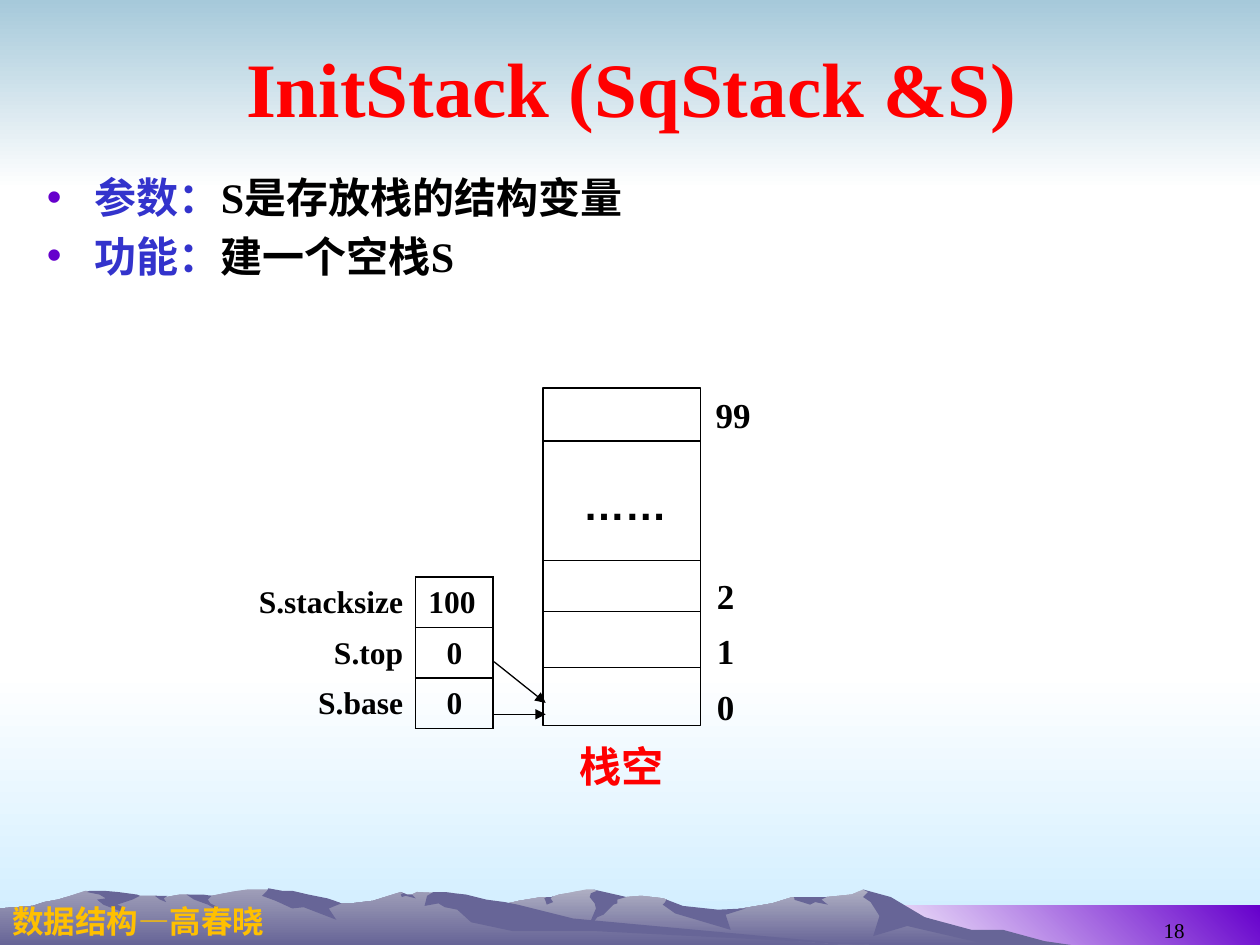
from lxml import etree
from pptx import Presentation, util as u
from pptx.dml.color import RGBColor
from pptx.enum import shapes, text
from pptx.oxml.ns import qn

BLACK, RED, BLUE, PURPLE, SLATE = "000000", "FF0000", "3333CC", "6600CC", "676597"
LEFT, CENTER, RIGHT = text.PP_ALIGN.LEFT, text.PP_ALIGN.CENTER, text.PP_ALIGN.RIGHT

# Mountain outlines as x,y points in hundredths of an inch
RIGHT_RIDGE = (
    "802,746 778,740 764,738 723,725 702,712 685,706 676,710 656,712 629,712 613,717 "
    "566,725 536,721 529,714 526,713 509,711 497,712 486,713 474,707 471,706 465,706 "
    "450,709 444,710 438,712 430,712 424,713 412,715 399,718 394,719 355,725 327,731 "
    "277,745 258,750 815,750")
LEFT_RIDGE = (
    "690,750 667,750 432,732 354,709 331,708 327,710 323,710 318,708 296,715 279,717 "
    "271,717 260,715 236,717 223,708 219,707 212,706 196,706 189,707 178,709 168,711 "
    "160,712 148,710 143,710 132,712 123,711 111,711 94,712 68,707 56,711 46,714 "
    "35,716 26,719 14,720 0,721 0,750")
RIGHT_SHADES = [
    "796,738 771,738 734,728 707,712 685,706 689,708 685,712 691,716 698,727 693,743 "
    "720,735 785,750 850,750 829,747",
    "471,706 474,707 469,709 468,712 472,717 473,721 465,740 474,728 479,726 487,718 "
    "490,717 490,714 497,712 493,711",
    "529,714 528,716 526,718 536,725 580,738 576,726 592,721 570,722 542,719",
    "650,712 630,712 631,714 630,714 643,718 647,716 657,718 652,714 656,712",
    "433,715 432,713 434,712 438,712 439,711 437,713 439,716 434,718",
]
LEFT_SHADES = [
    "212,707 208,711 219,715 232,721 241,720 267,730 261,721 271,717 266,715 260,713 "
    "245,710 232,707 224,707 213,705",
    "370,710 361,709 354,708 344,708 339,711 337,719 348,717 353,720 363,722 374,732 "
    "407,739 472,739 690,750 683,750 455,729 427,722 411,718 401,716 386,714",
    "318,710 320,709 318,708 323,710 327,710 330,713 326,712 322,711 319,712",
    "154,710 161,710 168,711 165,714 167,717 173,720 176,724 165,718 154,714 148,710",
    "133,711 130,713 132,716 127,714 123,711",
    "109,710 111,711 105,714 93,718 98,720 100,725 82,718 77,714 84,713 79,710 69,708 "
    "71,707 83,707 94,708",
]


def rgb(value):
    return RGBColor.from_string(value)


def write(paragraph, words, size=24, color=BLACK, bold=True, font="Times New Roman",
          align=None):
    run = paragraph.add_run()
    run.text = words
    run.font.size, run.font.bold, run.font.name = u.Pt(size), bold, font
    run.font.color.rgb = rgb(color)
    if align is not None:
        paragraph.alignment = align


class Sketch:
    """Holds the current slide and the drawing style."""

    def __init__(self, slide, ink=BLACK, weight=0.75):
        self.slide, self.ink, self.weight = slide, ink, weight

    def place(self, holder, left, top, width, height):
        """Move a placeholder and bring it above the scenery."""
        holder.left, holder.top = u.Cm(left), u.Cm(top)
        holder.width, holder.height = u.Cm(width), u.Cm(height)
        self.slide.shapes._spTree.append(holder._element)
        holder.text_frame.auto_size = text.MSO_AUTO_SIZE.NONE
        return holder.text_frame

    def paint(self, shape, colors, angle=270):
        shape.shadow.inherit = False
        shape.line.fill.background()
        if len(colors) == 1:
            shape.fill.solid()
            shape.fill.fore_color.rgb = rgb(colors[0])
            return
        shape.fill.gradient()
        shape.fill.gradient_angle = angle
        for stop, color in zip(shape.fill.gradient_stops, colors):
            stop.color.rgb = rgb(color)

    def box(self, left, top, width, height):
        return self.slide.shapes.add_shape(
            shapes.MSO_SHAPE.RECTANGLE, u.Cm(left), u.Cm(top), u.Cm(width), u.Cm(height))

    def outlined(self, *place):
        cell = self.box(*place)
        cell.shadow.inherit = False
        cell.fill.background()
        cell.line.color.rgb, cell.line.width = rgb(self.ink), u.Pt(self.weight)

    def ridge(self, outline, *colors):
        points = [tuple(map(int, pair.split(","))) for pair in outline.split()]
        builder = self.slide.shapes.build_freeform(*points[0], scale=u.Cm(2.54) / 100)
        builder.add_line_segments(points[1:], close=True)
        self.paint(builder.convert_to_shape(), colors)

    def line(self, x1, y1, x2, y2, arrow=False):
        rule = self.slide.shapes.add_connector(
            shapes.MSO_CONNECTOR.STRAIGHT, u.Cm(x1), u.Cm(y1), u.Cm(x2), u.Cm(y2))
        rule.line.color.rgb, rule.line.width = rgb(self.ink), u.Pt(self.weight)
        if arrow:
            etree.SubElement(rule.line._get_or_add_ln(), qn("a:tailEnd"), type="triangle")
        etree.SubElement(rule._element.spPr, qn("a:effectLst"))

    def label(self, words, left, top, width, height, wrap=True,
              anchor=text.MSO_ANCHOR.TOP, **style):
        frame = self.slide.shapes.add_textbox(
            u.Cm(left), u.Cm(top), u.Cm(width), u.Cm(height)).text_frame
        frame.word_wrap, frame.vertical_anchor = wrap, anchor
        write(frame.paragraphs[0], words, **style)

    def fields(self, rows, left, top, widths, row_height):
        table = self.slide.shapes.add_table(
            len(rows), 2, u.Cm(left), u.Cm(top), u.Cm(sum(widths)),
            u.Cm(row_height * len(rows))).table
        table.first_row = table.horz_banding = False
        for column, width in zip(table.columns, widths):
            column.width = u.Cm(width)
        for r, (name, value, align) in enumerate(rows):
            table.rows[r].height = u.Cm(row_height)
            self.field(table.cell(r, 0), name, RIGHT, ["lnR"])
            self.field(table.cell(r, 1), value, align, ["lnL", "lnR", "lnT", "lnB"])

    def field(self, cell, words, align, ruled):
        cell.margin_top, cell.margin_bottom = u.Cm(0.17), u.Cm(0.08)
        for side in ("lnL", "lnR", "lnT", "lnB"):
            edge = etree.SubElement(cell._tc.get_or_add_tcPr(), qn("a:" + side),
                                    w=str(u.Pt(1)))
            if side in ruled:
                fill = etree.SubElement(edge, qn("a:solidFill"))
                etree.SubElement(fill, qn("a:srgbClr"), val=self.ink)
            else:
                etree.SubElement(edge, qn("a:noFill"))
        cell.fill.background()
        write(cell.text_frame.paragraphs[0], words, size=18, align=align)

    def bullet(self, paragraph, term, meaning, space):
        props = paragraph._p.get_or_add_pPr()
        props.set("marL", str(u.Cm(0.97)))
        props.set("indent", str(-u.Cm(0.97)))
        color = etree.SubElement(props, qn("a:buClr"))
        etree.SubElement(color, qn("a:srgbClr"), val=PURPLE)
        etree.SubElement(props, qn("a:buChar"), char="•")
        paragraph.space_before = u.Pt(space)
        write(paragraph, term, color=BLUE)
        write(paragraph, meaning)


def main():
    deck = Presentation()
    deck.slide_width, deck.slide_height = u.Cm(25.4), u.Cm(19.05)
    slide = deck.slides.add_slide(deck.slide_layouts[1])
    sketch = Sketch(slide)

    # Sky, ground and mountains
    sketch.paint(sketch.box(0, 13.54, 25.4, 5.51), ["FFFFFF", "CCECFF"])
    sketch.paint(sketch.box(0, 0, 25.4, 3.81), ["A6C9DA", "FFFFFF"])
    sketch.paint(sketch.box(17.35, 18.26, 8.05, 0.79), ["FFFFFF", PURPLE], angle=45)
    for ridge, light, shades in ((RIGHT_RIDGE, "AEAEC2", RIGHT_SHADES),
                                 (LEFT_RIDGE, "9F9EB8", LEFT_SHADES)):
        sketch.ridge(ridge, light, SLATE)
        for shade in shades:
            sketch.ridge(shade, SLATE)

    # Footer
    sketch.label("数据结构—高春晓", 0, 18.06, 7.75, 1.02, size=18, color="FFC000",
                 font="Arial")
    sketch.label("18", 18.21, 17.86, 5.92, 1.27, anchor=text.MSO_ANCHOR.BOTTOM,
                 size=12, bold=False, align=RIGHT)

    # Title and description
    title = sketch.place(slide.shapes.title, 1.3, 0.33, 22.86, 2.84)
    title.vertical_anchor = text.MSO_ANCHOR.MIDDLE
    write(title.paragraphs[0], "InitStack (SqStack &S)", size=44, color=RED, align=CENTER)
    body = sketch.place(slide.placeholders[1], 0.69, 3.33, 24, 14.4)
    sketch.bullet(body.paragraphs[0], "参数：", "S是存放栈的结构变量", 0)
    sketch.bullet(body.add_paragraph(), "功能：", "建一个空栈S", 4.8)

    # Stack storage with its indexes
    sketch.outlined(10.95, 7.82, 3.17, 6.81)
    for y in (8.89, 11.3, 12.32, 13.46):
        sketch.line(10.95, y, 14.12, y)
    centered = dict(wrap=False, anchor=text.MSO_ANCHOR.MIDDLE, align=CENTER)
    sketch.label("99", 14.17, 7.82, 1.22, 1.09, size=20, **centered)
    for index in range(3):
        sketch.label(str(index), 14.2, 13.69 - 1.12 * index, 0.86, 1.09, size=20,
                     **centered)
    sketch.label("……", 11.23, 9.53, 2.74, 1.27, font="Arial", align=CENTER)
    sketch.label("栈空", 11.43, 14.81, 2.21, 1.27, color=RED, **centered)

    # Stack structure and its pointers
    sketch.fields([("S.stacksize", "100", LEFT), ("S.top", "0", CENTER),
                   ("S.base", "0", CENTER)], 4.24, 11.63, (4.14, 1.56), 1.02)
    sketch.line(9.96, 13.34, 11, 14.17, arrow=True)
    sketch.line(9.96, 14.4, 11, 14.4, arrow=True)

    deck.save("out.pptx")


if __name__ == "__main__":
    main()
